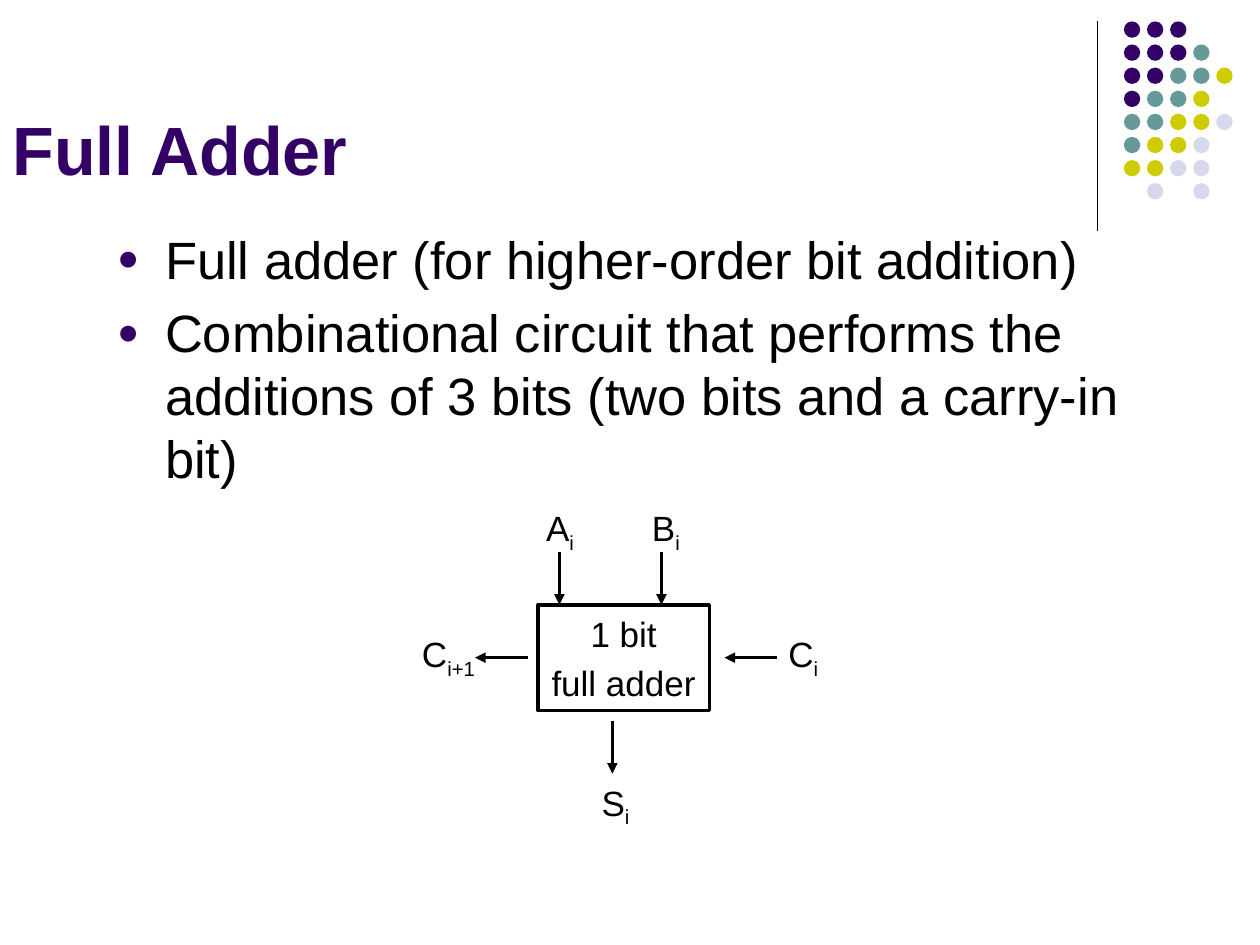
from lxml.etree import SubElement
from pptx import Presentation
from pptx.dml.color import RGBColor
from pptx.enum.shapes import MSO_CONNECTOR, MSO_SHAPE
from pptx.enum.text import MSO_ANCHOR, MSO_AUTO_SIZE, PP_ALIGN
from pptx.oxml.ns import qn
from pptx.util import Inches, Pt

BLACK, PURPLE = "000000", "330066"
DOT_COLORS = {"P": PURPLE, "T": "669999", "Y": "CCCC00", "L": "D8D8EC"}
DOT_ROWS = ["PPP", "PPPT", "PPTTY", "PTTY", "TTYYL", "TYYL", "YYLL", " L L"]
BULLETS = [
    "Full adder (for higher-order bit addition)",
    "Combinational circuit that performs the additions of 3 bits "
    "(two bits and a carry-in bit)",
]


def color(value):
    """Turn a hex string into a colour."""
    return RGBColor.from_string(value)


def style_run(run, size, value=BLACK, bold=False):
    """Format one run in Arial."""
    run.font.name = "Arial"
    run.font.size = Pt(size)
    run.font.bold = bold
    run.font.color.rgb = color(value)


def space_before(paragraph):
    """Put a fifth of a line above a paragraph."""
    spacing = SubElement(paragraph._p.get_or_add_pPr(), qn("a:spcBef"))
    SubElement(spacing, qn("a:spcPct"), val="20000")


def add_bullet(paragraph):
    """Give a paragraph a small purple dot with a hanging indent."""
    properties = paragraph._p.get_or_add_pPr()
    properties.set("marL", str(Inches(0.38)))
    properties.set("indent", str(-Inches(0.38)))
    bullet_color = SubElement(properties, qn("a:buClr"))
    SubElement(bullet_color, qn("a:srgbClr"), val=PURPLE)
    SubElement(properties, qn("a:buSzPct"), val="70000")
    SubElement(properties, qn("a:buFont"), typeface="Arial")
    SubElement(properties, qn("a:buChar"), char="●")


def add_line(slide, start, end, width, arrow=False):
    """Draw a black line, with an arrowhead at its end if asked."""
    line = slide.shapes.add_connector(MSO_CONNECTOR.STRAIGHT, *start, *end)
    line.line.color.rgb = color(BLACK)
    line.line.width = Pt(width)
    if arrow:
        SubElement(line.line._get_or_add_ln(), qn("a:tailEnd"), type="triangle")
    SubElement(line._element.spPr, qn("a:effectLst"))


def add_ornament(slide, left, top):
    """Draw the vertical rule and the grid of dots beside it."""
    add_line(slide, (left, top), (left, top + Inches(1.66)), 0.75)
    pitch, size = Inches(0.55) / 3, Inches(0.13)
    for row, letters in enumerate(DOT_ROWS):
        for column, letter in enumerate(letters):
            if letter == " ":
                continue
            x = int(left + Inches(0.21) + column * pitch)
            y = int(top + row * pitch)
            dot = slide.shapes.add_shape(MSO_SHAPE.OVAL, x, y, size, size)
            dot.shadow.inherit = False
            dot.fill.solid()
            dot.fill.fore_color.rgb = color(DOT_COLORS[letter])
            dot.line.fill.background()


def place(shape, left, top, width, height):
    """Move a placeholder to a box."""
    shape.left, shape.top, shape.width, shape.height = left, top, width, height


def fill_title(title, left, top, width, height):
    """Set the heading at the bottom left of its box."""
    place(title, left, top, width, height)
    frame = title.text_frame
    frame.text = "Full Adder"
    frame.auto_size = MSO_AUTO_SIZE.NONE
    frame.vertical_anchor = MSO_ANCHOR.BOTTOM
    frame.paragraphs[0].alignment = PP_ALIGN.LEFT
    style_run(frame.paragraphs[0].runs[0], 39, PURPLE, bold=True)


def fill_body(body, left, top, width, height):
    """Set the bulleted description."""
    place(body, left, top, width, height)
    frame = body.text_frame
    frame.text = "\n".join(BULLETS)
    frame.auto_size = MSO_AUTO_SIZE.NONE
    for paragraph in frame.paragraphs:
        space_before(paragraph)
        add_bullet(paragraph)
        style_run(paragraph.runs[0], 30)


def add_signal(slide, left, top, width, letter, index):
    """Write a signal name with its subscript."""
    signal = slide.shapes.add_textbox(left, top, width, Inches(0.44))
    frame = signal.text_frame
    frame.word_wrap = False
    paragraph = frame.paragraphs[0]
    paragraph.alignment = PP_ALIGN.CENTER
    space_before(paragraph)
    for text in (letter, index):
        run = paragraph.add_run()
        run.text = text
        style_run(run, 20)
    paragraph.runs[1].font._element.set("baseline", "-25000")


def add_adder(slide, left, top, width, height):
    """Draw the adder block with its inputs and outputs."""
    block = slide.shapes.add_shape(MSO_SHAPE.RECTANGLE, left, top, width, height)
    block.shadow.inherit = False
    block.fill.background()
    block.line.color.rgb = color(BLACK)
    block.line.width = Pt(2)
    frame = block.text_frame
    frame.word_wrap = False
    frame.text = "1 bit\nfull adder"
    for paragraph in frame.paragraphs:
        paragraph.alignment = PP_ALIGN.CENTER
        space_before(paragraph)
        style_run(paragraph.runs[0], 20)

    arrows = [
        (0.17, -0.42, 0, 0.42),
        (0.98, -0.42, 0, 0.42),
        (0.59, 0.92, 0, 0.42),
        (-0.08, 0.42, -0.42, 0),
        (1.9, 0.42, -0.42, 0),
    ]
    for x, y, across, down in arrows:
        start = left + Inches(x), top + Inches(y)
        end = start[0] + Inches(across), start[1] + Inches(down)
        add_line(slide, start, end, 2, arrow=True)

    signals = [
        (-0.04, -0.83, 0.43, "A", "i"),
        (0.8, -0.83, 0.43, "B", "i"),
        (-1.04, 0.17, 0.66, "C", "i+1"),
        (0.4, 1.35, 0.43, "S", "i"),
        (1.88, 0.17, 0.45, "C", "i"),
    ]
    for x, y, label_width, letter, index in signals:
        add_signal(slide, left + Inches(x), top + Inches(y),
                   Inches(label_width), letter, index)


def main():
    """Build the slide and save it."""
    deck = Presentation()
    deck.slide_width, deck.slide_height = Inches(10), Inches(7.5)
    slide = deck.slides.add_slide(deck.slide_layouts[1])
    add_ornament(slide, Inches(8.71), Inches(0.17))
    fill_title(slide.shapes.title, 0, Inches(0.3), Inches(10), Inches(1.25))
    fill_body(slide.placeholders[1], Inches(0.83), Inches(1.75),
              Inches(8.58), Inches(4.95))
    add_adder(slide, Inches(4.27), Inches(4.8), Inches(1.36), Inches(0.84))
    deck.save("out.pptx")


if __name__ == "__main__":
    main()
